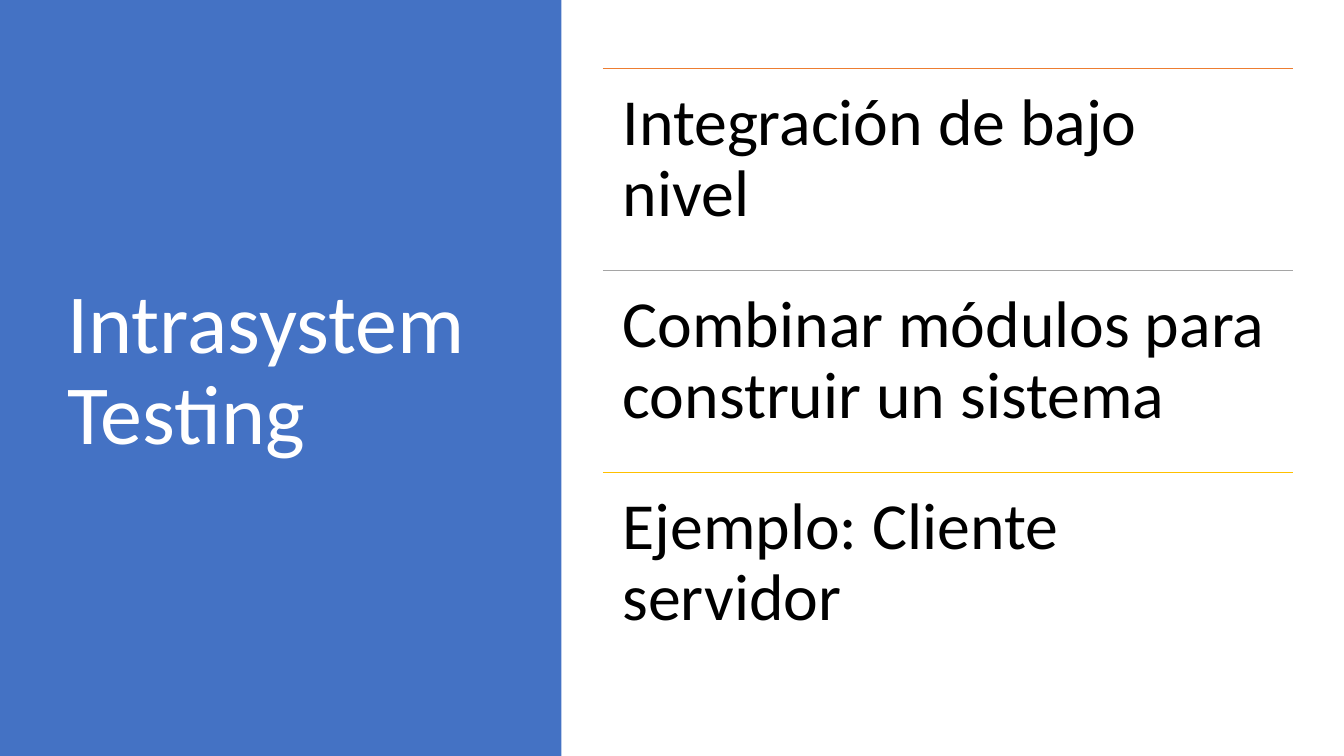
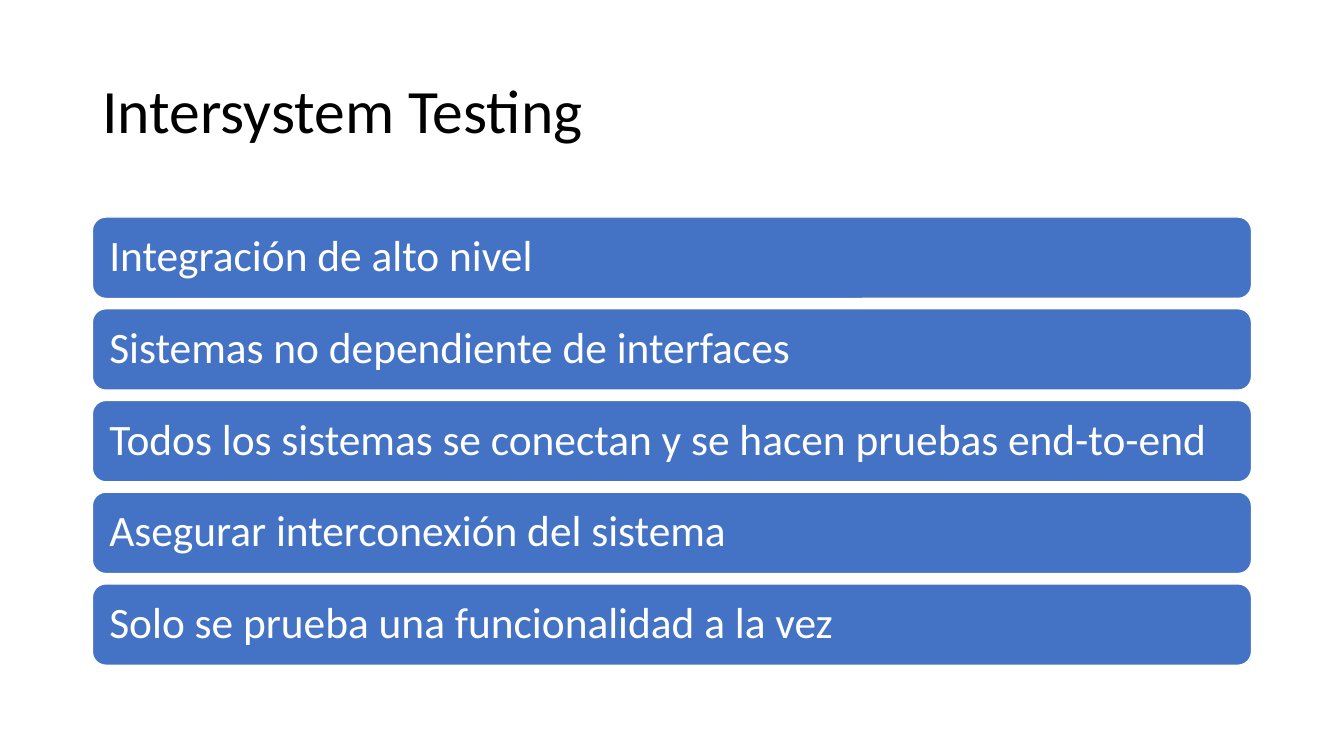
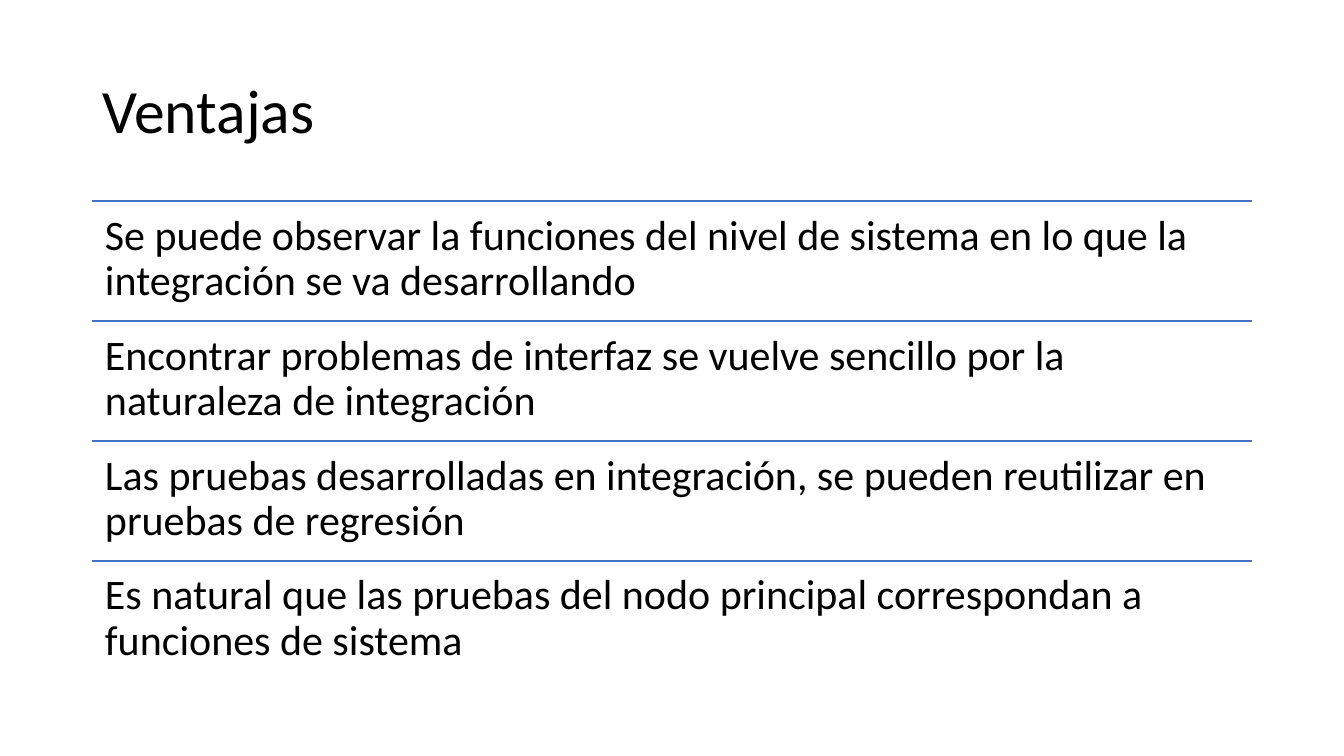
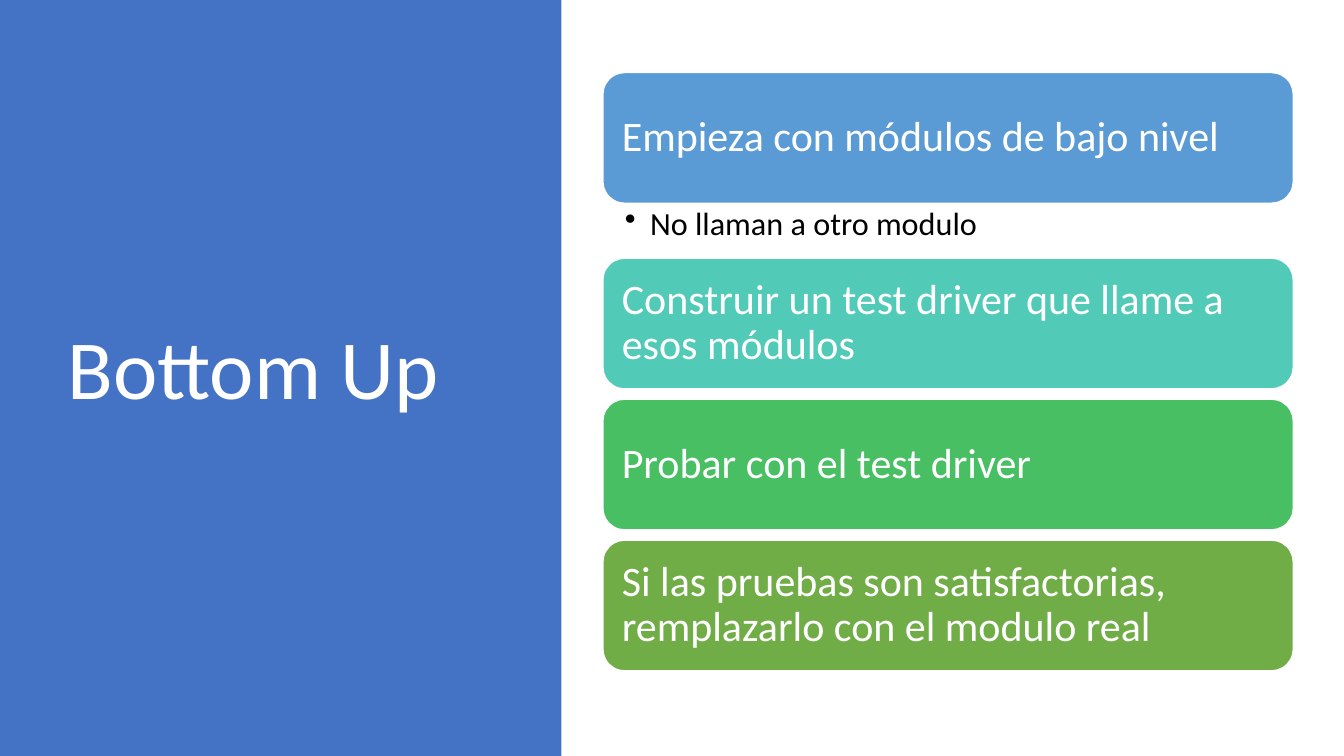
"""Build four slides on integration testing."""
from lxml.etree import SubElement
from pptx import Presentation
from pptx.dml.color import RGBColor
from pptx.enum.shapes import MSO_CONNECTOR, MSO_SHAPE
from pptx.enum.text import MSO_ANCHOR, MSO_AUTO_SIZE, PP_ALIGN
from pptx.oxml.ns import qn
from pptx.util import Pt

INTRA = [
    ("Integración de bajo nivel", "orange"),
    ("Combinar módulos para construir un sistema", "grey"),
    ("Ejemplo: Cliente servidor", "gold"),
]
INTER = [
    ("Integración de alto nivel", "blue", None),
    ("Sistemas no dependiente de interfaces", "blue", None),
    ("Todos los sistemas se conectan y se hacen pruebas end-to-end", "blue", None),
    ("Asegurar interconexión del sistema", "blue", None),
    ("Solo se prueba una funcionalidad a la vez", "blue", None),
]
PROS = [
    ("Se puede observar la funciones del nivel de sistema en lo que la integración se va desarrollando", "blue"),
    ("Encontrar problemas de interfaz se vuelve sencillo por la naturaleza de integración", "blue"),
    ("Las pruebas desarrolladas en integración, se pueden reutilizar en pruebas de regresión", "blue"),
    ("Es natural que las pruebas del nodo principal correspondan a funciones de sistema", "blue"),
]
STEPS = [
    ("Empieza con módulos de bajo nivel", "sky", "No llaman a otro modulo"),
    ("Construir un test driver que llame a esos módulos", "teal", None),
    ("Probar con el test driver", "green", None),
    ("Si las pruebas son satisfactorias, remplazarlo con el modulo real", "olive", None),
]

HUES = {
    "white": "FFFFFF", "black": "000000", "blue": "4472C4",
    "orange": "ED7D31", "grey": "A5A5A5", "gold": "FFC000",
    "sky": "5B9BD5", "teal": "52CAB8", "green": "49BF64", "olive": "70AD47",
}
FONT = "Calibri"
WIDE, HIGH = 960, 540
SIDE = 401
WHOLE = (66, 828)
RIGHT = (430.6, 493.2)


def hue(name):
    return RGBColor.from_string(HUES[name])


def put(shape, text, size=30, ink="black", pad=(7.2, 3.6, 7.2, 3.6), mid=False, dot=False):
    frame = shape.text_frame
    frame.word_wrap = True
    frame.auto_size = MSO_AUTO_SIZE.NONE
    frame.vertical_anchor = MSO_ANCHOR.MIDDLE if mid else MSO_ANCHOR.TOP
    frame.margin_left, frame.margin_top, frame.margin_right, frame.margin_bottom = map(Pt, pad)
    para = frame.paragraphs[0]
    para.alignment = PP_ALIGN.LEFT
    para.line_spacing = 0.9
    if dot:
        para.level = 1
        props = next(shape.element.iter(qn("a:pPr")))
        props.set("marL", str(Pt(18)))
        props.set("indent", str(Pt(-18)))
        SubElement(props, qn("a:buChar")).set("char", "•")
    run = para.add_run()
    run.text = text
    run.font.name, run.font.size = FONT, Pt(size)
    run.font.color.rgb = hue(ink)


def block(slide, kind, box, fill, edge=None):
    shape = slide.shapes.add_shape(kind, *map(Pt, box))
    shape.shadow.inherit = False
    shape.fill.solid()
    shape.fill.fore_color.rgb = hue(fill)
    if edge:
        shape.line.color.rgb = hue(edge)
        shape.line.width = Pt(1)
    else:
        shape.line.fill.background()
    return shape


def start(deck, text, panel=False):
    slide = deck.slides.add_slide(deck.slide_layouts[5])
    title = slide.shapes.title
    box = (41, 49, 299.5, 433.4) if panel else (WHOLE[0], 28.8, WHOLE[1], 104.4)
    title.left, title.top, title.width, title.height = map(Pt, box)
    if panel:
        band = block(slide, MSO_SHAPE.RECTANGLE, (0, 0, SIDE, HIGH), "blue")
        title.element.addprevious(band.element)
    put(title, text, size=60 if panel else 44, ink="white" if panel else "black", mid=True)
    return slide


def rules(slide, rows, span, top, step, size, pad):
    left, width = span
    for i, (text, tint) in enumerate(rows):
        y = top + i * step
        line = slide.shapes.add_connector(
            MSO_CONNECTOR.STRAIGHT, Pt(left), Pt(y), Pt(left + width), Pt(y))
        line.line.color.rgb = hue(tint)
        line.line.width = Pt(1)
        SubElement(line.element.spPr, qn("a:effectLst"))
        area = slide.shapes.add_textbox(*map(Pt, (left, y, width, step)))
        put(area, text, size=size, pad=(pad,) * 4)


def cards(slide, rows, span, top, tall, gap, size, pad, drop=39.2):
    left, width = span
    for text, tint, note in rows:
        card = block(slide, MSO_SHAPE.ROUNDED_RECTANGLE, (left, top, width, tall), tint, "white")
        put(card, text, size=size, ink="white", pad=(pad,) * 4, mid=True)
        top += tall
        if note:
            area = slide.shapes.add_textbox(*map(Pt, (left, top, width, drop)))
            put(area, note, size=23, pad=(15.7, 2.9, 16.4, 2.9), dot=True)
        top += drop if note else gap


def main():
    deck = Presentation()
    deck.slide_width, deck.slide_height = Pt(WIDE), Pt(HIGH)
    rules(start(deck, "Intrasystem Testing", panel=True), INTRA, RIGHT,
          top=49, step=144.3, size=47, pad=14.1)
    cards(start(deck, "Intersystem Testing"), INTER, WHOLE,
          top=155, tall=58.2, gap=7.3, size=31, pad=9.3)
    rules(start(deck, "Ventajas"), PROS, WHOLE,
          top=143.7, step=85.7, size=30, pad=9)
    cards(start(deck, "Bottom Up", panel=True), STEPS, RIGHT,
          top=51.8, tall=93.4, gap=7.3, size=30, pad=9)
    deck.save("out.pptx")


if __name__ == "__main__":
    main()
